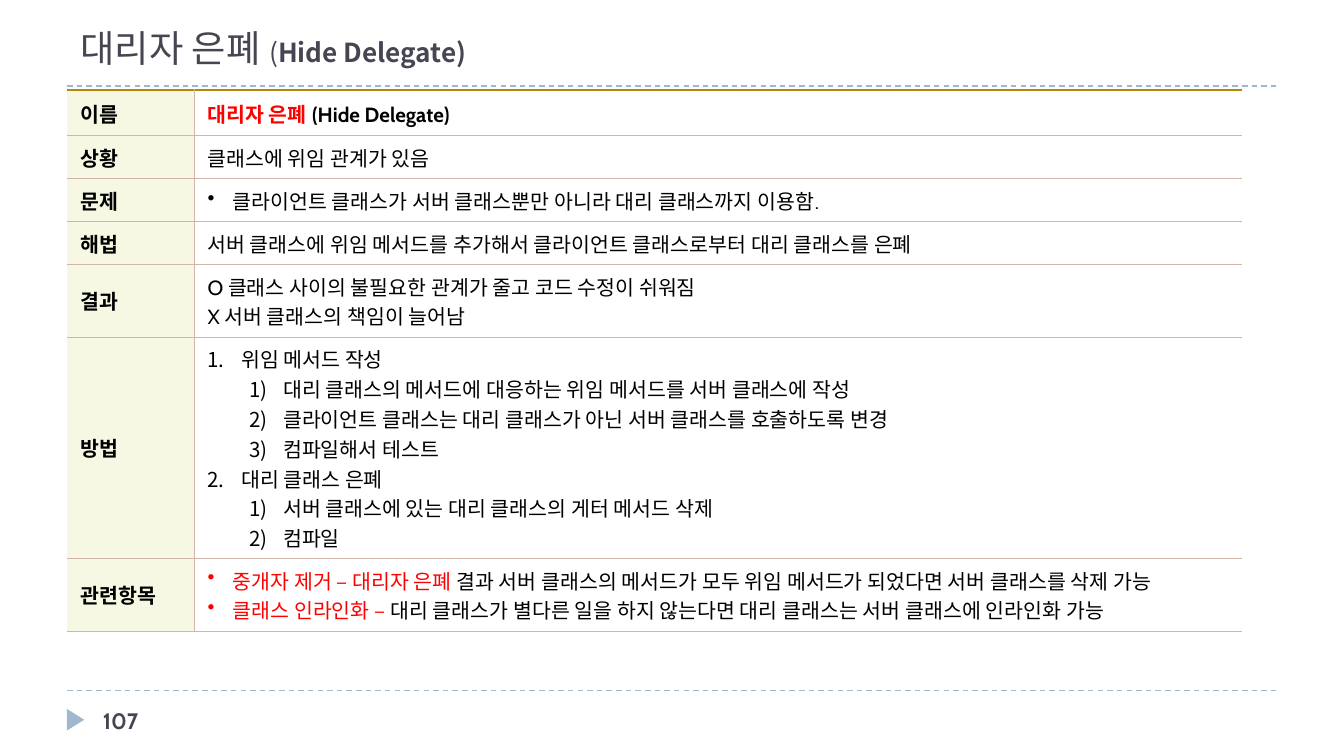
from dataclasses import dataclass

from lxml import etree
from pptx import Presentation
from pptx.dml.color import RGBColor
from pptx.enum.dml import MSO_LINE
from pptx.enum.shapes import MSO_CONNECTOR, MSO_SHAPE
from pptx.enum.text import MSO_ANCHOR
from pptx.oxml.ns import qn
from pptx.util import Pt

STRAIGHT = MSO_CONNECTOR.STRAIGHT
TRIANGLE = MSO_SHAPE.ISOSCELES_TRIANGLE
DASH = MSO_LINE.DASH
MIDDLE = MSO_ANCHOR.MIDDLE
BOTTOM = MSO_ANCHOR.BOTTOM


@dataclass(frozen=True)
class Theme:
    heading: str = "464653"
    accent: str = "9FB8CD"
    text: str = "000000"
    emphasis: str = "FF0000"
    label_fill: str = "F6F8E4"
    grid: str = "D4B5AA"
    top_rule: str = "B38807"
    latin: str = "Cabin"
    korean: str = "Noto Sans CJK KR"
    title_size: float = 20
    subtitle_size: float = 14
    page_size: float = 12
    body_size: float = 11


THEME = Theme()


@dataclass(frozen=True)
class Run:
    text: str
    color: str = THEME.text
    bold: bool = False
    size: float = THEME.body_size
    font: str = THEME.latin


@dataclass(frozen=True)
class ListStyle:
    tag: str
    attribute: str
    value: str
    margin: float
    hanging: float
    level: int = 0


@dataclass(frozen=True)
class Line:
    runs: tuple[Run, ...]
    style: ListStyle | None = None


@dataclass(frozen=True)
class Row:
    label: str
    height: float
    lines: tuple[Line, ...]


BULLET = ListStyle("a:buChar", "char", "•", 13.5, 13.5)
STEP = ListStyle("a:buAutoNum", "type", "arabicPeriod", 18, 18)
SUBSTEP = ListStyle("a:buAutoNum", "type", "arabicParenR", 40.5, 18, level=1)


def line(text: str, style: ListStyle | None = None) -> Line:
    return Line((Run(text),), style)


def related(name: str, text: str) -> Line:
    return Line((Run(name, THEME.emphasis), Run(text)), BULLET)


ROWS = (
    Row("이름", 24.5, (Line((
        Run("대리자 은폐", THEME.emphasis, bold=True),
        Run(" ", bold=True, size=12),
        Run("(Hide Delegate)", bold=True))),)),
    Row("상황", 23, (line("클래스에 위임 관계가 있음"),)),
    Row("문제", 23, (line("클라이언트 클래스가 서버 클래스뿐만 아니라 대리 클래스까지 이용함.", BULLET),)),
    Row("해법", 23, (line("서버 클래스에 위임 메서드를 추가해서 클라이언트 클래스로부터 대리 클래스를 은폐"),)),
    Row("결과", 39, (
        line("O 클래스 사이의 불필요한 관계가 줄고 코드 수정이 쉬워짐"),
        line("X 서버 클래스의 책임이 늘어남"))),
    Row("방법", 118.5, (
        line("위임 메서드 작성", STEP),
        line("대리 클래스의 메서드에 대응하는 위임 메서드를 서버 클래스에 작성", SUBSTEP),
        line("클라이언트 클래스는 대리 클래스가 아닌 서버 클래스를 호출하도록 변경", SUBSTEP),
        line("컴파일해서 테스트", SUBSTEP),
        line("대리 클래스 은폐", STEP),
        line("서버 클래스에 있는 대리 클래스의 게터 메서드 삭제", SUBSTEP),
        line("컴파일", SUBSTEP))),
    Row("관련항목", 39, (
        related("중개자 제거 – 대리자 은폐 ",
                "결과 서버 클래스의 메서드가 모두 위임 메서드가 되었다면 서버 클래스를 삭제 가능"),
        related("클래스 인라인화 – ",
                "대리 클래스가 별다른 일을 하지 않는다면 대리 클래스는 서버 클래스에 인라인화 가능"))),
)


def write(paragraph, text: str, *, color: str, bold: bool, size: float, font: str) -> None:
    run = paragraph.add_run()
    run.text = text
    run.font.size = Pt(size)
    run.font.bold = bold
    run.font.color.rgb = RGBColor.from_string(color)
    run.font.name = font
    east_asian = etree.SubElement(run.font._element, qn("a:ea"))
    east_asian.set("typeface", THEME.korean)


def apply_list(paragraph, style: ListStyle) -> None:
    paragraph.level = style.level
    properties = paragraph._p.get_or_add_pPr()
    properties.set("marL", str(Pt(style.margin)))
    properties.set("indent", str(-Pt(style.hanging)))
    etree.SubElement(properties, qn(style.tag)).set(style.attribute, style.value)


def fill_text(frame, lines: tuple[Line, ...]) -> None:
    for index, item in enumerate(lines):
        paragraph = frame.add_paragraph() if index else frame.paragraphs[0]
        if item.style:
            apply_list(paragraph, item.style)
        for run in item.runs:
            write(paragraph, run.text, color=run.color, bold=run.bold,
                  size=run.size, font=run.font)


def add_text(slide, left: float, top: float, width: float, height: float,
             anchor, runs: tuple[Run, ...]) -> None:
    frame = slide.shapes.add_textbox(Pt(left), Pt(top), Pt(width), Pt(height)).text_frame
    frame.word_wrap = True
    frame.vertical_anchor = anchor
    fill_text(frame, (Line(runs),))


def add_rule(slide, top: float) -> None:
    connector = slide.shapes.add_connector(STRAIGHT, Pt(36), Pt(top), Pt(684), Pt(top))
    connector.line.color.rgb = RGBColor.from_string(THEME.accent)
    connector.line.width = Pt(0.75)
    connector.line.dash_style = DASH
    etree.SubElement(connector._element.spPr, qn("a:effectLst"))


def set_borders(cell, borders: dict[str, tuple[str, float]]) -> None:
    properties = cell._tc.get_or_add_tcPr()
    for side in "LRTB":
        border = etree.SubElement(properties, qn(f"a:ln{side}"))
        if side not in borders:
            etree.SubElement(border, qn("a:noFill"))
            continue
        color, width = borders[side]
        border.set("w", str(Pt(width)))
        solid = etree.SubElement(border, qn("a:solidFill"))
        etree.SubElement(solid, qn("a:srgbClr")).set("val", color)


def add_pattern_table(slide, rows: tuple[Row, ...]) -> None:
    widths = (68, 561.5)
    height = sum(row.height for row in rows)
    table = slide.shapes.add_table(len(rows), len(widths), Pt(36), Pt(48.25),
                                   Pt(sum(widths)), Pt(height)).table
    table.first_row = False
    table.horz_banding = False
    for column, width in zip(table.columns, widths):
        column.width = Pt(width)
    grid = (THEME.grid, 0.5)
    for index, row in enumerate(rows):
        table.rows[index].height = Pt(row.height)
        top = grid if index else (THEME.top_rule, 1)
        label, content = table.cell(index, 0), table.cell(index, 1)
        for cell, inner_side in ((label, "R"), (content, "L")):
            cell.vertical_anchor = MIDDLE
            set_borders(cell, {inner_side: grid, "T": top, "B": grid})
        label.fill.solid()
        label.fill.fore_color.rgb = RGBColor.from_string(THEME.label_fill)
        content.fill.background()
        fill_text(label.text_frame, (Line((Run(row.label, bold=True),)),))
        fill_text(content.text_frame, row.lines)


def main() -> None:
    presentation = Presentation()
    presentation.slide_width, presentation.slide_height = Pt(720), Pt(405)
    slide = presentation.slides.add_slide(presentation.slide_layouts[6])

    # Dashed rules and page marker
    for top in (370, 46):
        add_rule(slide, top)
    marker = slide.shapes.add_shape(TRIANGLE, Pt(34.75), Pt(381), Pt(11.5), Pt(9.25))
    marker.rotation = 90
    marker.shadow.inherit = False
    marker.fill.solid()
    marker.fill.fore_color.rgb = RGBColor.from_string(THEME.accent)
    marker.line.fill.background()
    add_text(slide, 48, 375, 156, 21.5, MIDDLE,
             (Run("107", THEME.heading, True, THEME.page_size),))

    # Refactoring description
    add_pattern_table(slide, ROWS)

    # Title
    add_text(slide, 36, 9.25, 648, 31.75, BOTTOM, (
        Run("대리자 은폐 ", THEME.heading, False, THEME.title_size, THEME.korean),
        Run("(", THEME.heading, False, THEME.subtitle_size, THEME.korean),
        Run("Hide Delegate)", THEME.heading, True, THEME.subtitle_size, THEME.korean)))

    presentation.save("out.pptx")


if __name__ == "__main__":
    main()
